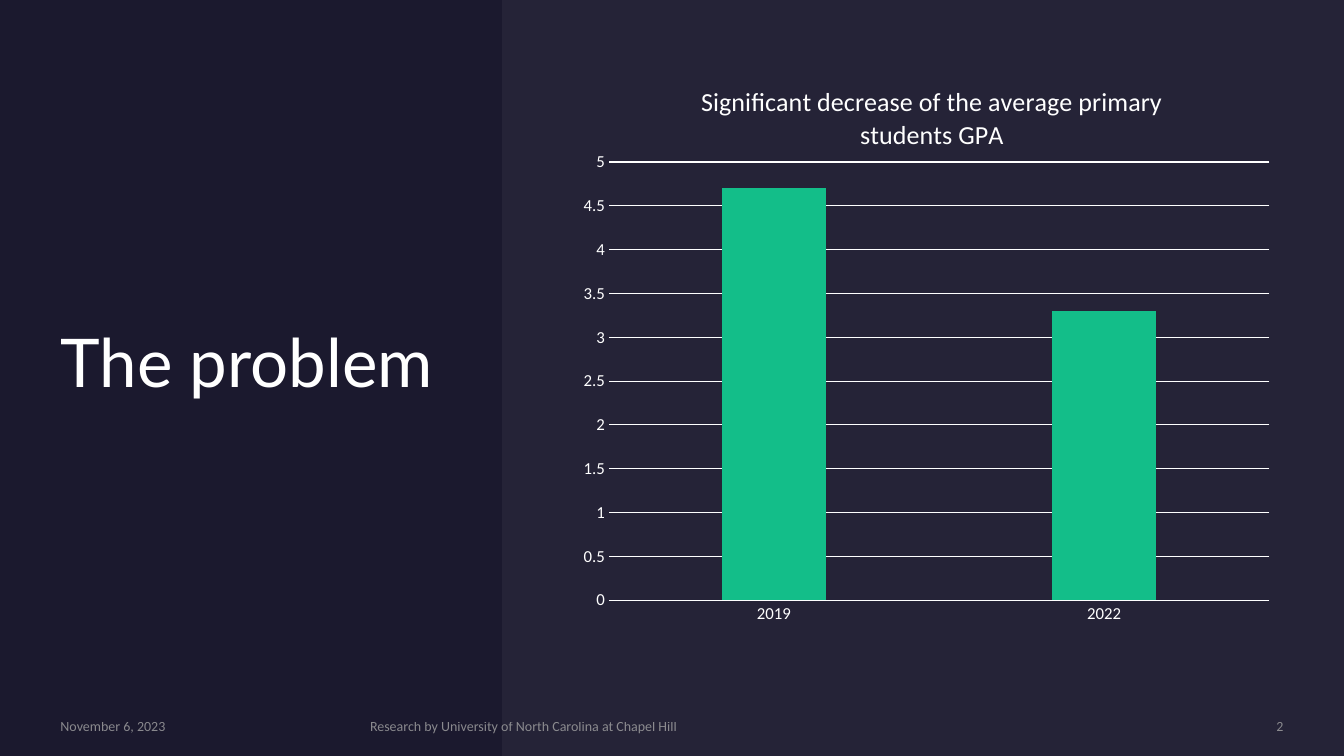
import pptx
import pptx.util
import pptx.chart.data
import pptx.dml.color
import pptx.enum.chart
import pptx.enum.shapes
import pptx.enum.text
import pptx.oxml
import pptx.oxml.ns
from pptx.util import Inches

COLORS = {
    "navy": "1B192E",
    "mist": "E4E3F0",
    "white": "FFFFFF",
    "gray": "A6A6A6",
    "green": "13BE89",
}
ALIGN = pptx.enum.text.PP_ALIGN


def rgb(name):
    return pptx.dml.color.RGBColor.from_string(COLORS[name])


def set_alpha(fill, percent):
    clr = fill._xPr.find(".//" + pptx.oxml.ns.qn("a:srgbClr"))
    xml = f'<a:alpha {pptx.oxml.ns.nsdecls("a")} val="{percent * 1000}"/>'
    clr.append(pptx.oxml.parse_xml(xml))


def format_font(font, size, color="white", name="Calibri"):
    font.size = pptx.util.Pt(size)
    font.name = name
    font.bold = False
    font.fill.solid()
    font.fill.fore_color.rgb = rgb(color)


def put_text(tf, text, size, color="white", font="Calibri", align=ALIGN.LEFT,
             spacing=None, after=None, alpha=None):
    tf.word_wrap = True
    tf.auto_size = pptx.enum.text.MSO_AUTO_SIZE.NONE
    tf.vertical_anchor = pptx.enum.text.MSO_ANCHOR.MIDDLE
    tf.margin_left = tf.margin_right = tf.margin_top = tf.margin_bottom = 0
    p = tf.paragraphs[0]
    p.alignment = align
    p.line_spacing = spacing
    if after is not None:
        p.space_after = pptx.util.Pt(after)
    r = p.add_run()
    r.text = text
    format_font(r.font, size, color, font)
    if alpha is not None:
        set_alpha(r.font.fill, alpha)


def add_panel(s, x, y, w, h, color, alpha=None):
    rect = pptx.enum.shapes.MSO_SHAPE.RECTANGLE
    sp = s.shapes.add_shape(rect, Inches(x), Inches(y), Inches(w), Inches(h))
    sp.shadow.inherit = False
    sp.fill.solid()
    sp.fill.fore_color.rgb = rgb(color)
    sp.line.fill.background()
    if alpha is not None:
        set_alpha(sp.fill, alpha)
    return sp


def add_title(s, x, y, w, h):
    sp = s.shapes.title
    sp.left, sp.top, sp.width, sp.height = map(Inches, (x, y, w, h))
    put_text(sp.text_frame, "The problem", 48, font="Lato", spacing=0.9)


def add_footer(s, x, y, w, h):
    items = [
        (0, 2.88, "November 6, 2023", ALIGN.LEFT),
        (3.07, 6.98, "Research by University of North Carolina at Chapel Hill", ALIGN.LEFT),
        (w - 1.85, 1.85, "2", ALIGN.RIGHT),
    ]
    for dx, width, text, align in items:
        sp = s.shapes.add_textbox(Inches(x + dx), Inches(y), Inches(width), Inches(h))
        put_text(sp.text_frame, text, 10, "gray", align=align, after=6, alpha=80)


def style_axis(axis):
    axis.major_tick_mark = axis.minor_tick_mark = pptx.enum.chart.XL_TICK_MARK.NONE
    format_font(axis.tick_labels.font, 12)


def style_line(line):
    line.color.rgb = rgb("white")
    line.width = pptx.util.Pt(0.75)


def set_plot_area(chart, x, y, w, h):
    area = chart._chartSpace.chart.plotArea
    old = area.find(pptx.oxml.ns.qn("c:layout"))
    if old is not None:
        area.remove(old)
    sizes = "".join(f'<c:{k} val="{v}"/>' for k, v in zip("xywh", (x, y, w, h)))
    area.insert(0, pptx.oxml.parse_xml(
        f'<c:layout {pptx.oxml.ns.nsdecls("c")}><c:manualLayout>'
        '<c:layoutTarget val="inner"/><c:xMode val="edge"/><c:yMode val="edge"/>'
        f'{sizes}</c:manualLayout></c:layout>'))


def add_gpa_chart(s, x, y, w, h):
    data = pptx.chart.data.CategoryChartData()
    data.categories = ["2019", "2022"]
    data.add_series("Series 1", (4.7, 3.3))
    kind = pptx.enum.chart.XL_CHART_TYPE.COLUMN_CLUSTERED
    chart = s.shapes.add_chart(kind, Inches(x), Inches(y), Inches(w), Inches(h), data).chart
    format_font(chart.font, 10)
    chart.has_legend = False
    chart.has_title = True
    chart.chart_title.include_in_layout = False
    r = chart.chart_title.text_frame.paragraphs[0].add_run()
    r.text = "Significant decrease of the average primary students GPA"
    format_font(r.font, 18.6)

    plot = chart.plots[0]
    plot.gap_width, plot.overlap = 219, -27
    plot.vary_by_categories = False
    series = plot.series[0]
    series.format.fill.solid()
    series.format.fill.fore_color.rgb = rgb("green")

    style_axis(chart.category_axis)
    style_line(chart.category_axis.format.line)
    axis = chart.value_axis
    style_axis(axis)
    axis.format.line.fill.background()
    axis.minimum_scale, axis.maximum_scale, axis.major_unit = 0, 5, 0.5
    axis.tick_labels.number_format = "General"
    axis.tick_labels.number_format_is_linked = False
    axis.has_major_gridlines = True
    style_line(axis.major_gridlines.format.line)
    set_plot_area(chart, 0.04, 0.16, 0.94, 0.69)


def main():
    prs = pptx.Presentation()
    prs.slide_width, prs.slide_height = Inches(13.33), Inches(7.5)
    s = prs.slides.add_slide(prs.slide_layouts[5])
    s.background.fill.solid()
    s.background.fill.fore_color.rgb = rgb("navy")
    backdrop = add_panel(s, 0, 0, 13.33, 7.5, "navy")
    s.shapes._spTree.insert(2, backdrop._element)
    add_title(s, 0.6, 0.6, 3.9, 6.06)
    add_panel(s, 4.98, 0, 8.35, 7.5, "mist", alpha=5)
    add_footer(s, 0.6, 7.12, 12.13, 0.17)
    add_gpa_chart(s, 5.76, 0.6, 6.97, 6.3)
    prs.save("out.pptx")


if __name__ == "__main__":
    main()
